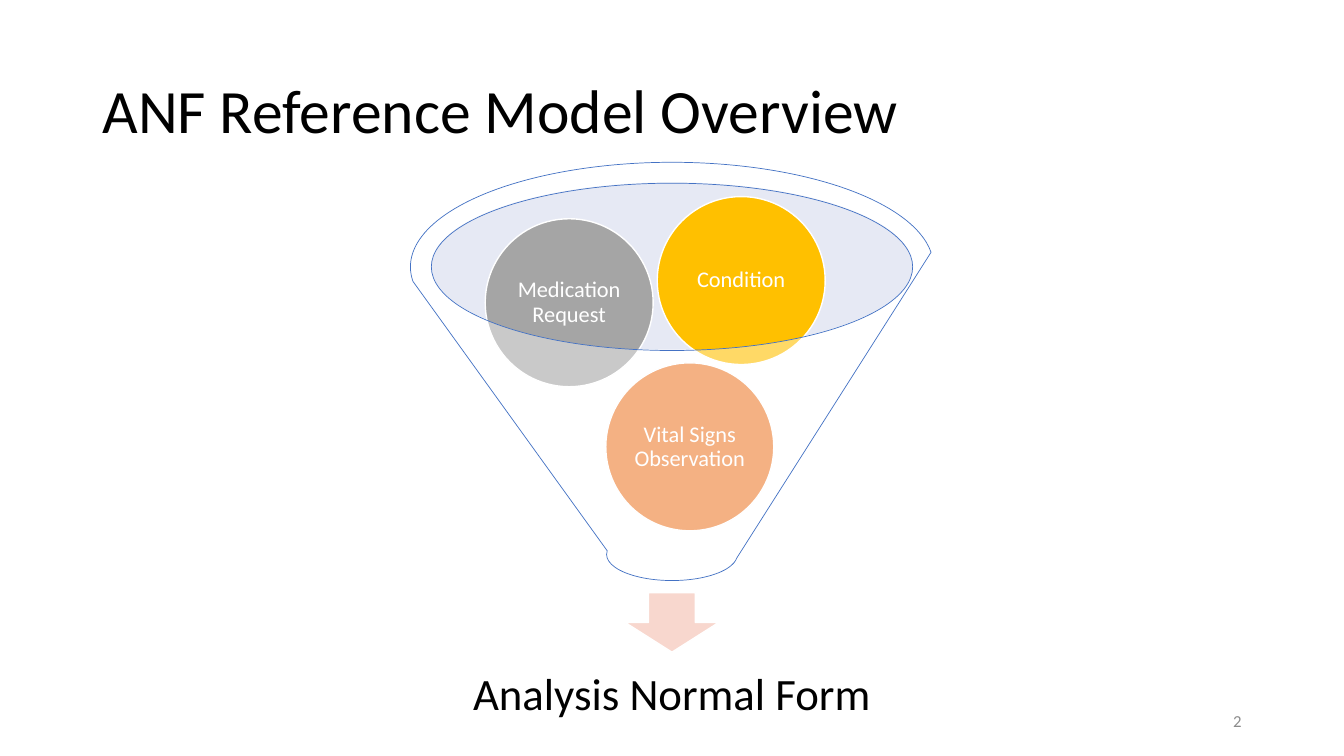
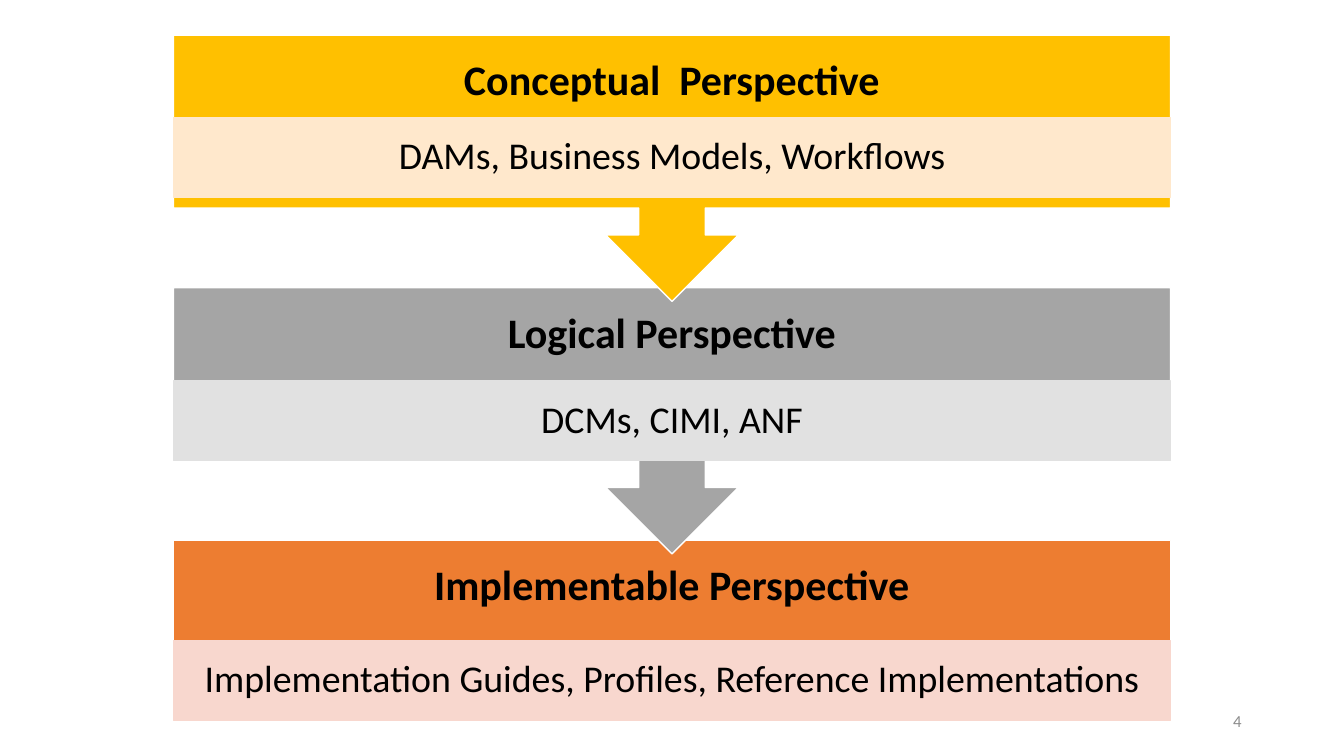
from dataclasses import dataclass
from typing import Optional

from lxml import etree
from pptx import Presentation
from pptx.dml.color import RGBColor
from pptx.enum.shapes import MSO_SHAPE
from pptx.enum.text import MSO_ANCHOR, MSO_AUTO_SIZE, PP_ALIGN
from pptx.oxml.ns import qn
from pptx.shapes.autoshape import Shape
from pptx.slide import Slide
from pptx.text.text import TextFrame
from pptx.util import Inches, Length, Pt

ELLIPSE, RECTANGLE = MSO_SHAPE.OVAL, MSO_SHAPE.RECTANGLE
FUNNEL, DOWN_ARROW = MSO_SHAPE.FUNNEL, MSO_SHAPE.DOWN_ARROW
DOWN_CALLOUT = MSO_SHAPE.DOWN_ARROW_CALLOUT
LEFT, CENTER, RIGHT = PP_ALIGN.LEFT, PP_ALIGN.CENTER, PP_ALIGN.RIGHT
MIDDLE, NO_AUTOFIT = MSO_ANCHOR.MIDDLE, MSO_AUTO_SIZE.NONE

# Shared colours and font
BLACK = RGBColor(0x00, 0x00, 0x00)
WHITE = RGBColor(0xFF, 0xFF, 0xFF)
BLUE = RGBColor(0x44, 0x72, 0xC4)
PALE_BLUE = RGBColor(0xC1, 0xC9, 0xE4)
ORANGE = RGBColor(0xED, 0x7D, 0x31)
PALE_ORANGE = RGBColor(0xF8, 0xD7, 0xCE)
GRAY = RGBColor(0xA5, 0xA5, 0xA5)
PALE_GRAY = RGBColor(0xE1, 0xE1, 0xE1)
NUMBER_GRAY = RGBColor(0x8C, 0x8C, 0x8C)
GOLD = RGBColor(0xFF, 0xC0, 0x00)
PALE_GOLD = RGBColor(0xFF, 0xE8, 0xCC)
FONT = "Calibri"

# Grid of square cells covering the slide
COLUMNS, ROWS = 80, 45
SLIDE_HEIGHT = Inches(7.5)
CELL = SLIDE_HEIGHT / ROWS


def cells(count: float) -> Length:
    return Length(round(count * CELL))


@dataclass(frozen=True)
class Box:
    """Place and size in grid columns and rows."""
    left: float
    top: float
    width: float
    height: float

    def emu(self) -> tuple[Length, Length, Length, Length]:
        return (cells(self.left), cells(self.top),
                cells(self.width), cells(self.height))


def centered(top: float, width: float, height: float) -> Box:
    return Box((COLUMNS - width) / 2, top, width, height)


@dataclass(frozen=True)
class Paint:
    """Fill and outline; opacity of the fill is a percentage."""
    fill: RGBColor
    line: Optional[RGBColor] = WHITE
    line_width: float = 1
    opacity: int = 100


@dataclass(frozen=True)
class TextStyle:
    size: float
    color: RGBColor = BLACK
    bold: bool = False
    align: PP_ALIGN = CENTER
    inset_x: float = 0.6
    inset_y: float = 0.3
    spacing: float = 0.9


@dataclass(frozen=True)
class Ball:
    label: str
    left: float
    top: float
    color: RGBColor


@dataclass(frozen=True)
class Perspective:
    heading: str
    detail: str
    color: RGBColor
    pale: RGBColor
    detail_offset: float
    outline: MSO_SHAPE = DOWN_CALLOUT
    height: float = 15.84


TITLE = TextStyle(44, align=LEFT)
PAGE_NUMBER = TextStyle(12, NUMBER_GRAY, align=RIGHT, spacing=1)
RESULT = TextStyle(32, inset_y=1.5)
BALL_LABEL = TextStyle(16, WHITE, inset_x=0.12, inset_y=0.12)
HEADING = TextStyle(30, bold=True, inset_x=1.38, inset_y=1.38)
DETAIL = TextStyle(27, inset_x=1.26, inset_y=0.24)

TITLE_BOX = Box(5.5, 2.4, 69, 8.7)
NUMBER_BOX = Box(56.5, 41.7, 18, 2.4)

BALL_SIZE = 10
BALLS = [
    Ball("Vital Signs Observation", 36.06, 21.6, ORANGE),
    Ball("Medication Request", 28.88, 13.02, GRAY),
    Ball("Condition", 39.12, 11.7, GOLD),
]

BAND_WIDTH, HEADING_HEIGHT, DETAIL_HEIGHT = 59.34, 5.58, 4.74
FIRST_BAND, BAND_PITCH = 2.1, 15.03
PERSPECTIVES = [
    Perspective("Conceptual  Perspective", "DAMs, Business Models, Workflows",
                GOLD, PALE_GOLD, 4.9),
    Perspective("Logical Perspective", "DCMs, CIMI, ANF",
                GRAY, PALE_GRAY, 5.55),
    Perspective("Implementable Perspective",
                "Implementation Guides, Profiles, Reference Implementations",
                ORANGE, PALE_ORANGE, 5.98, RECTANGLE, 10.26),
]


# Drawing helpers
def write(frame: TextFrame, text: str, style: TextStyle) -> None:
    frame.text = text
    frame.word_wrap = True
    frame.auto_size = NO_AUTOFIT
    frame.vertical_anchor = MIDDLE
    frame.margin_left = frame.margin_right = cells(style.inset_x)
    frame.margin_top = frame.margin_bottom = cells(style.inset_y)
    paragraph = frame.paragraphs[0]
    paragraph.alignment = style.align
    paragraph.line_spacing = style.spacing
    paragraph.font.name = FONT
    paragraph.font.size = Pt(style.size)
    paragraph.font.bold = style.bold
    paragraph.font.color.rgb = style.color


def add_text(slide: Slide, box: Box, text: str, style: TextStyle) -> None:
    write(slide.shapes.add_textbox(*box.emu()).text_frame, text, style)


def set_fill_opacity(figure: Shape, percent: int) -> None:
    color = figure._element.spPr.find(f"{qn('a:solidFill')}/{qn('a:srgbClr')}")
    etree.SubElement(color, qn("a:alpha")).set("val", str(percent * 1000))


def add_figure(slide: Slide, preset: MSO_SHAPE, box: Box, paint: Paint) -> Shape:
    figure = slide.shapes.add_shape(preset, *box.emu())
    figure.shadow.inherit = False
    figure.fill.solid()
    figure.fill.fore_color.rgb = paint.fill
    if paint.opacity < 100:
        set_fill_opacity(figure, paint.opacity)
    if paint.line is None:
        figure.line.fill.background()
    else:
        figure.line.color.rgb = paint.line
        figure.line.width = Pt(paint.line_width)
    return figure


def add_title(slide: Slide, text: str) -> None:
    title = slide.shapes.title
    title.left, title.top, title.width, title.height = TITLE_BOX.emu()
    write(title.text_frame, text, TITLE)


def add_ball(slide: Slide, ball: Ball) -> None:
    box = Box(ball.left, ball.top, BALL_SIZE, BALL_SIZE)
    circle = add_figure(slide, ELLIPSE, box, Paint(ball.color))
    write(circle.text_frame, ball.label, BALL_LABEL)


def add_perspective(slide: Slide, top: float, item: Perspective) -> None:
    add_figure(slide, item.outline, centered(top, BAND_WIDTH, item.height),
               Paint(item.color))
    add_text(slide, centered(top, BAND_WIDTH, HEADING_HEIGHT),
             item.heading, HEADING)
    band = add_figure(
        slide, RECTANGLE,
        centered(top + item.detail_offset, BAND_WIDTH, DETAIL_HEIGHT),
        Paint(item.pale, item.pale))
    write(band.text_frame, item.detail, DETAIL)


# Slides
def build_overview(slide: Slide) -> None:
    add_title(slide, "ANF Reference Model Overview")
    add_text(slide, NUMBER_BOX, "2", PAGE_NUMBER)
    add_figure(slide, ELLIPSE, centered(10.86, 28.68, 9.96),
               Paint(PALE_BLUE, line=None, opacity=40))
    add_figure(slide, DOWN_ARROW, centered(35.28, 5.58, 3.54),
               Paint(PALE_ORANGE))
    add_text(slide, centered(38.1, 26.64, 6.66), "Analysis Normal Form", RESULT)
    for ball in BALLS:
        add_ball(slide, ball)
    add_figure(slide, FUNNEL, centered(9.66, 31.14, 24.9),
               Paint(WHITE, BLUE, 0.5, opacity=40))


def build_perspectives(slide: Slide) -> None:
    add_text(slide, NUMBER_BOX, "4", PAGE_NUMBER)
    # Lowest band first, so that each arrow tip overlaps the band below it
    for index, item in reversed(list(enumerate(PERSPECTIVES))):
        add_perspective(slide, FIRST_BAND + index * BAND_PITCH, item)


def main() -> None:
    deck = Presentation()
    deck.slide_width, deck.slide_height = cells(COLUMNS), SLIDE_HEIGHT
    title_only, blank = deck.slide_layouts[5], deck.slide_layouts[6]
    build_overview(deck.slides.add_slide(title_only))
    build_perspectives(deck.slides.add_slide(blank))
    deck.save("out.pptx")


main()
